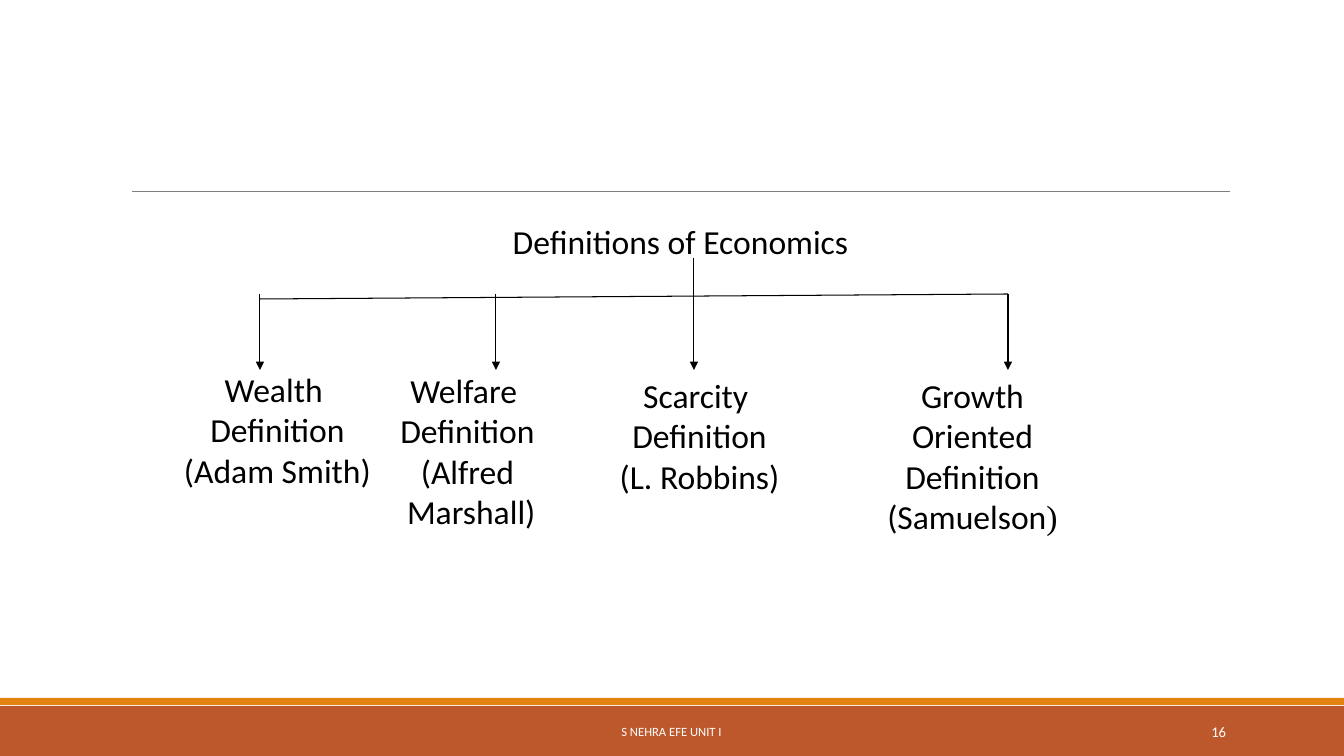
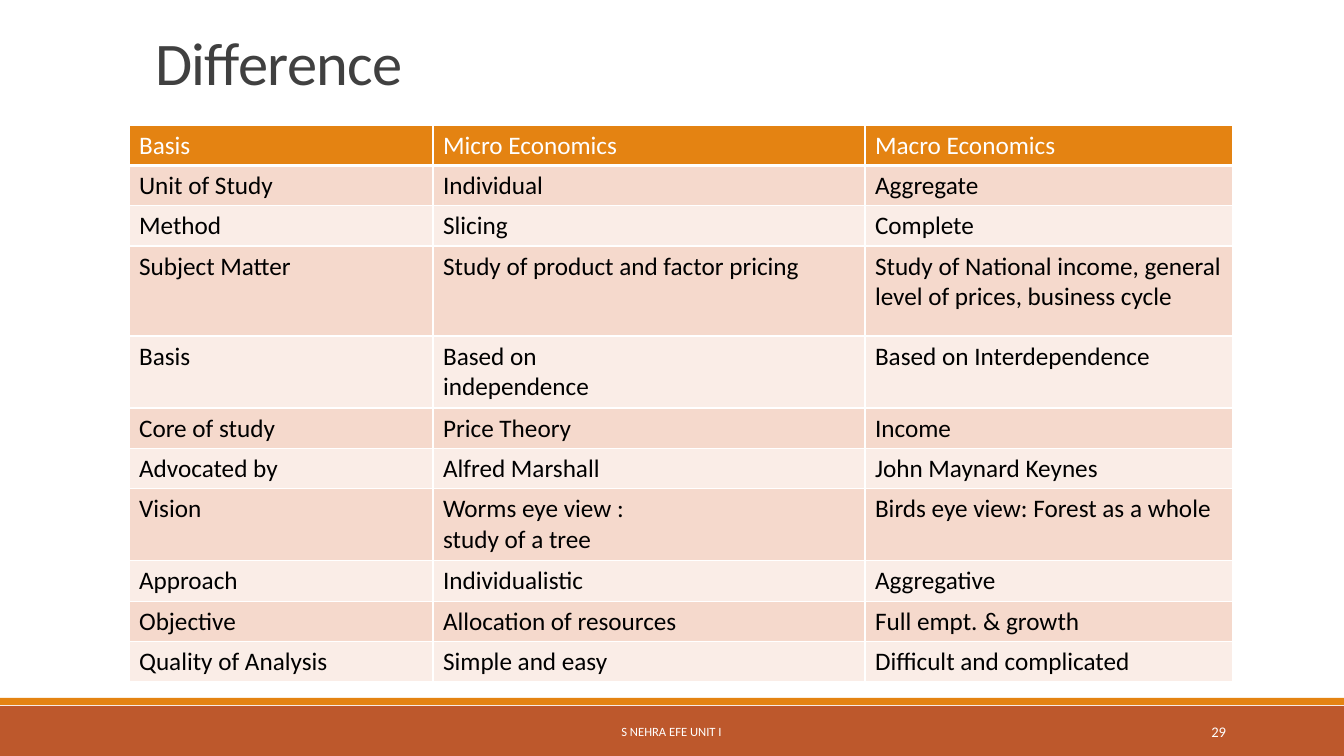
from dataclasses import dataclass

from lxml.etree import SubElement
from pptx import Presentation
from pptx.dml.color import RGBColor
from pptx.enum.shapes import MSO_CONNECTOR as Connector, MSO_SHAPE as Preset
from pptx.enum.text import MSO_ANCHOR as Anchor, MSO_AUTO_SIZE as AutoSize, PP_ALIGN as Align
from pptx.oxml import parse_xml
from pptx.oxml.ns import nsdecls, qn
from pptx.presentation import Presentation as Deck
from pptx.slide import Slide
from pptx.table import _Cell as Cell
from pptx.text.text import TextFrame, _Run as Run
from pptx.util import Emu, Pt

SLIDE_WIDTH, SLIDE_HEIGHT = 1344, 756
EMU_PER_PX = 12192000 / SLIDE_WIDTH
TITLE_ONLY, BLANK = 5, 6


@dataclass(frozen=True)
class Theme:
    font: str = "Calibri"
    serif: str = "Times New Roman"
    band: str = "BD582C"
    accent: str = "E48312"
    rule: str = "808080"
    title: str = "404040"
    ink: str = "000000"
    paper: str = "FFFFFF"
    odd_row: str = "F5D9CC"
    even_row: str = "FAEDE7"
    title_size: float = 43.2
    label_size: float = 24
    table_size: float = 18
    number_size: float = 10.5
    footer_size: float = 9


THEME = Theme()


@dataclass(frozen=True)
class Box:
    left: int
    top: int
    width: int
    height: int

    def emu(self) -> tuple[Emu, Emu, Emu, Emu]:
        return px(self.left), px(self.top), px(self.width), px(self.height)


@dataclass(frozen=True)
class Branch:
    text: str
    box: Box
    arrow_x: int
    arrow_top: int = 294
    closing: str = ""


@dataclass(frozen=True)
class Row:
    basis: str
    micro: str
    macro: str
    height: int = 40


HEADING = Box(269, 216, 823, 50)
ARROW_BOTTOM = 370
BRANCHES = (
    Branch("Wealth \nDefinition\n(Adam Smith)", Box(168, 364, 219, 132), 260),
    Branch("Welfare \nDefinition\n(Alfred\n Marshall)", Box(389, 365, 157, 173), 496),
    Branch("Scarcity \nDefinition\n(L. Robbins)", Box(609, 370, 181, 132), 694, 258),
    Branch("Growth\n Oriented \nDefinition\n(Samuelson", Box(876, 370, 193, 173), 1008, closing=")"),
)

COLUMN_WIDTHS = (304, 432, 368)
ROWS = (
    Row("Basis", "Micro Economics", "Macro Economics"),
    Row("Unit of Study", "Individual", "Aggregate"),
    Row("Method", "Slicing", "Complete"),
    Row("Subject Matter", "Study of product and factor pricing",
        "Study of National income, general level of prices, business cycle", 90),
    Row("Basis", "Based on\nindependence", "Based on Interdependence", 72),
    Row("Core of study", "Price Theory", "Income"),
    Row("Advocated by", "Alfred Marshall", "John Maynard Keynes"),
    Row("Vision", "Worms eye view :\nstudy of a tree", "Birds eye view: Forest as a whole", 72),
    Row("Approach", "Individualistic", "Aggregative"),
    Row("Objective", "Allocation of resources", "Full empt. & growth"),
    Row("Quality of Analysis", "Simple and easy", "Difficult and complicated"),
)


def px(length: int) -> Emu:
    return Emu(round(length * EMU_PER_PX))


def rgb(colour: str) -> RGBColor:
    return RGBColor.from_string(colour)


def format_run(run: Run, *, size: float, colour: str, font: str = THEME.font) -> None:
    run.font.name = font
    run.font.size = Pt(size)
    run.font.bold = False
    run.font.color.rgb = rgb(colour)


def write_text(frame: TextFrame, text: str, *, size: float, colour: str = THEME.ink,
               align: Align = Align.LEFT, line_spacing: float | None = None) -> None:
    for index, line in enumerate(text.split("\n")):
        paragraph = frame.add_paragraph() if index else frame.paragraphs[0]
        paragraph.alignment = align
        if line_spacing:
            paragraph.line_spacing = line_spacing
        run = paragraph.add_run()
        run.text = line
        format_run(run, size=size, colour=colour)


def add_label(slide: Slide, box: Box, text: str, *, anchor: Anchor = Anchor.TOP,
              wrap: bool = True, **text_format) -> TextFrame:
    frame = slide.shapes.add_textbox(*box.emu()).text_frame
    frame.word_wrap = wrap
    frame.vertical_anchor = anchor
    write_text(frame, text, **text_format)
    return frame


def add_band(slide: Slide, box: Box, colour: str) -> None:
    band = slide.shapes.add_shape(Preset.RECTANGLE, *box.emu())
    band.shadow.inherit = False
    band.fill.solid()
    band.fill.fore_color.rgb = rgb(colour)
    band.line.fill.background()


def add_line(slide: Slide, start: tuple[int, int], end: tuple[int, int], *,
             colour: str = THEME.ink, weight: float = 0.75, arrow: bool = False) -> None:
    line = slide.shapes.add_connector(Connector.STRAIGHT, *map(px, start + end))
    line.line.color.rgb = rgb(colour)
    line.line.width = Pt(weight)
    if arrow:
        SubElement(line.line._get_or_add_ln(), qn("a:tailEnd"), type="triangle")
    SubElement(line._element.spPr, qn("a:effectLst"))


def add_slide(deck: Deck, layout: int, number: int) -> Slide:
    slide = deck.slides.add_slide(deck.slide_layouts[layout])
    add_band(slide, Box(0, 706, SLIDE_WIDTH, 50), THEME.band)
    add_band(slide, Box(0, 698, SLIDE_WIDTH, 7), THEME.accent)
    add_line(slide, (132, 191), (1230, 191), colour=THEME.rule, weight=0.5)
    add_label(slide, Box(1092, 712, 144, 40), str(number), anchor=Anchor.MIDDLE,
              size=THEME.number_size, colour=THEME.paper, align=Align.RIGHT)
    add_label(slide, Box(406, 712, 531, 40), "S NEHRA EFE UNIT I", anchor=Anchor.MIDDLE,
              size=THEME.footer_size, colour=THEME.paper, align=Align.CENTER)
    return slide


def add_title(slide: Slide, text: str, box: Box) -> None:
    title = slide.shapes.title
    title.left, title.top, title.width, title.height = box.emu()
    frame = title.text_frame
    frame.auto_size = AutoSize.NONE
    frame.vertical_anchor = Anchor.BOTTOM
    write_text(frame, text, size=THEME.title_size, colour=THEME.title, line_spacing=0.85)
    frame.paragraphs[0].runs[0].font._element.set("spc", "-50")


def set_borders(cell: Cell, **weights: float) -> None:
    properties = cell._tc.get_or_add_tcPr()
    for index, (side, weight) in enumerate(weights.items()):
        properties.insert(index, parse_xml(
            f'<a:ln{side} {nsdecls("a")} w="{Pt(weight)}"><a:solidFill>'
            f'<a:srgbClr val="{THEME.paper}"/></a:solidFill></a:ln{side}>'))


def add_comparison(slide: Slide, left: int, top: int) -> None:
    box = Box(left, top, sum(COLUMN_WIDTHS), sum(row.height for row in ROWS))
    table = slide.shapes.add_table(len(ROWS), len(COLUMN_WIDTHS), *box.emu()).table
    for column, width in zip(table.columns, COLUMN_WIDTHS):
        column.width = px(width)
    for index, row in enumerate(ROWS):
        table.rows[index].height = px(row.height)
        header = index == 0
        fill = THEME.accent if header else THEME.odd_row if index % 2 else THEME.even_row
        for cell, text in zip(table.rows[index].cells, (row.basis, row.micro, row.macro)):
            cell.fill.solid()
            cell.fill.fore_color.rgb = rgb(fill)
            set_borders(cell, L=1, R=1, T=3 if index == 1 else 1, B=3 if header else 1)
            write_text(cell.text_frame, text, size=THEME.table_size,
                       colour=THEME.paper if header else THEME.ink)


def build_definitions(deck: Deck) -> None:
    slide = add_slide(deck, BLANK, 16)
    first, last = BRANCHES[0], BRANCHES[-1]
    add_line(slide, (first.arrow_x, 299), (last.arrow_x, last.arrow_top))
    add_label(slide, HEADING, "Definitions of Economics", size=THEME.label_size, align=Align.CENTER)
    for branch in BRANCHES:
        add_line(slide, (branch.arrow_x, branch.arrow_top), (branch.arrow_x, ARROW_BOTTOM), arrow=True)
        frame = add_label(slide, branch.box, branch.text, wrap=False,
                          size=THEME.label_size, align=Align.CENTER)
        if branch.closing:
            closing = frame.paragraphs[-1].add_run()
            closing.text = branch.closing
            format_run(closing, size=THEME.label_size, colour=THEME.ink, font=THEME.serif)


def build_difference(deck: Deck) -> None:
    slide = add_slide(deck, TITLE_ONLY, 29)
    add_title(slide, "Difference", Box(145, 32, 823, 71))
    add_comparison(slide, 129, 125)


def main() -> None:
    deck = Presentation()
    deck.slide_width, deck.slide_height = px(SLIDE_WIDTH), px(SLIDE_HEIGHT)
    build_definitions(deck)
    build_difference(deck)
    deck.save("out.pptx")


if __name__ == "__main__":
    main()
